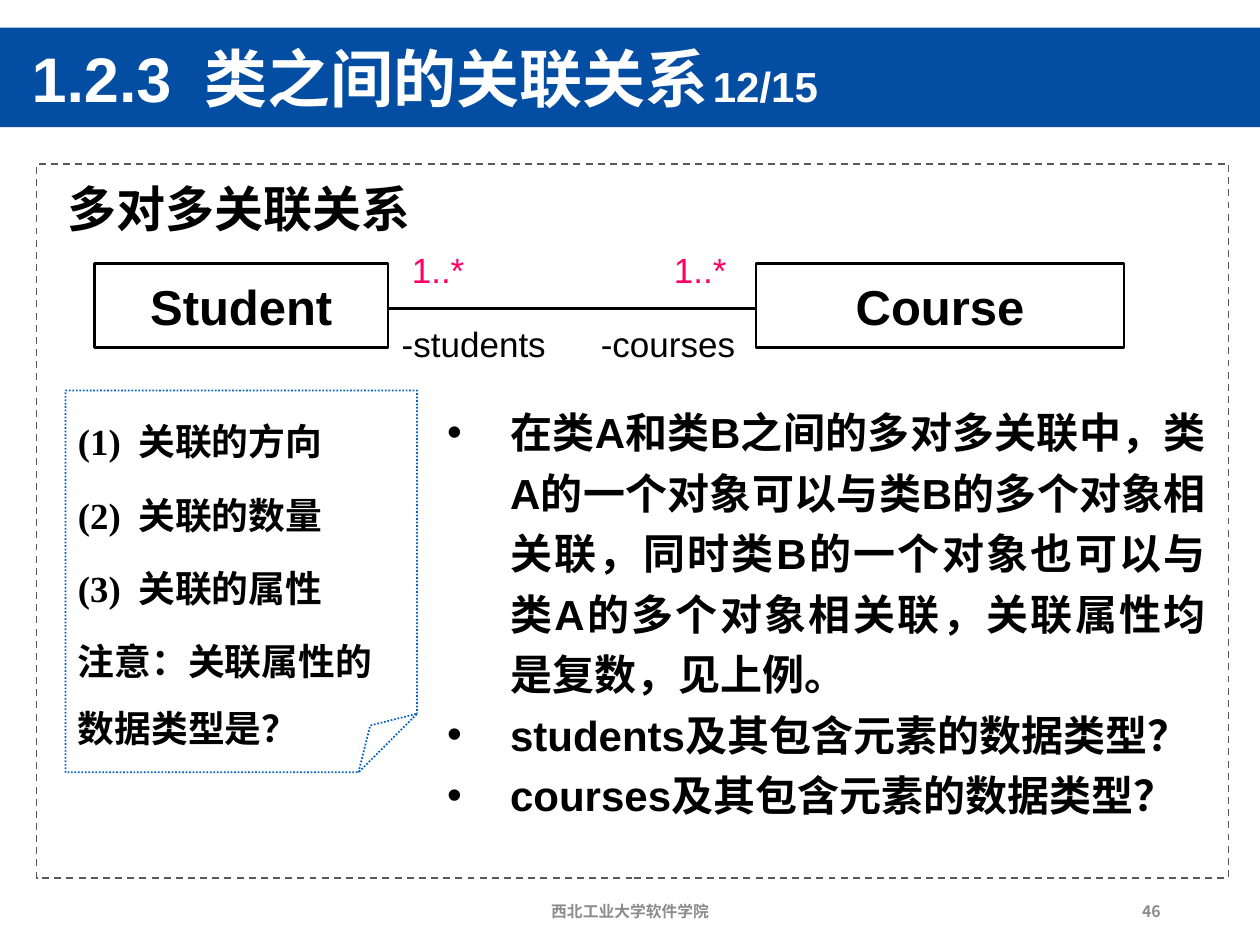
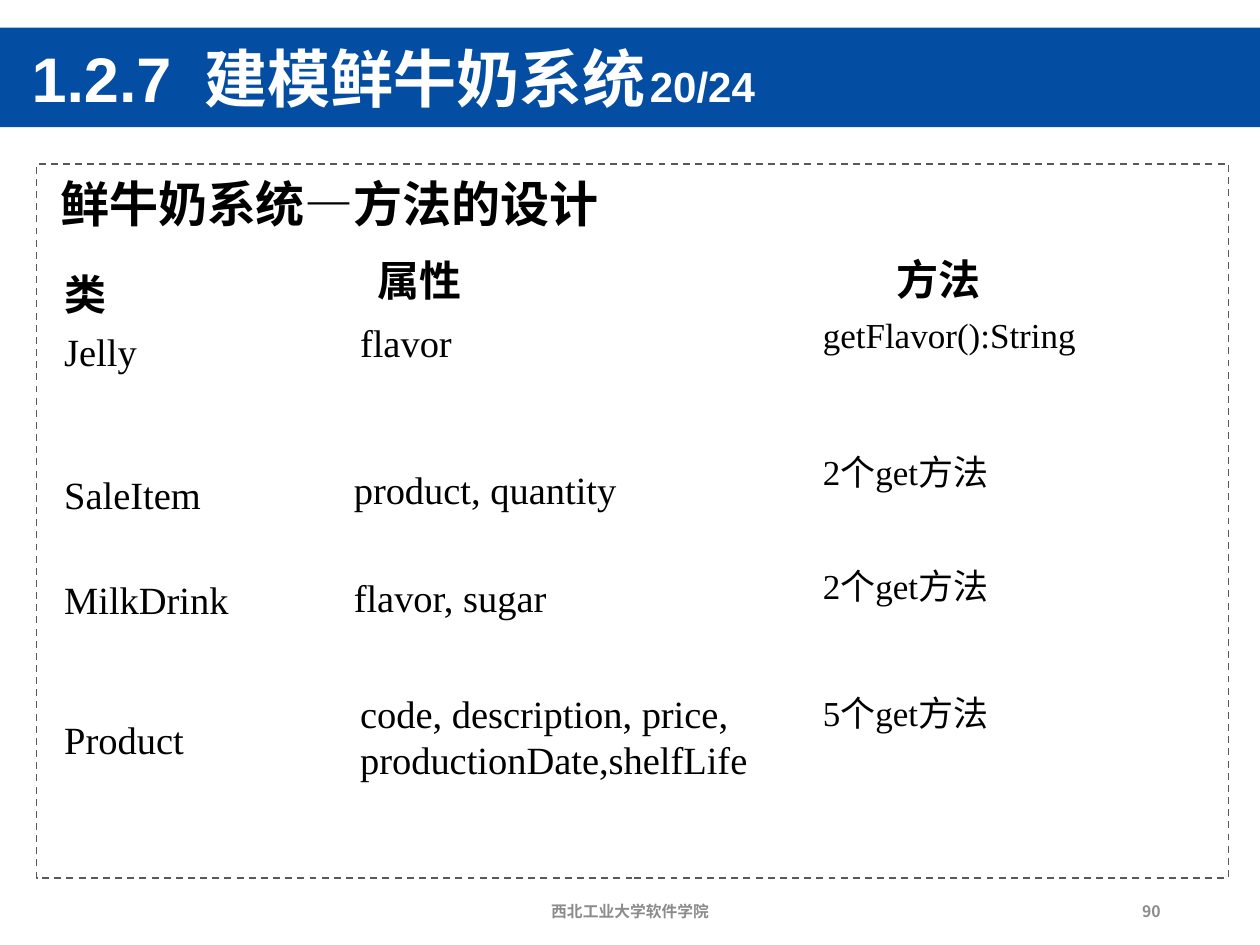
from lxml import etree
from pptx import Presentation
from pptx.dml.color import RGBColor
from pptx.enum.dml import MSO_LINE
from pptx.enum.shapes import MSO_CONNECTOR, MSO_SHAPE
from pptx.enum.text import MSO_ANCHOR, MSO_AUTO_SIZE, PP_ALIGN
from pptx.oxml.ns import qn
from pptx.util import Pt

PX = 9144
BLACK = RGBColor(0x00, 0x00, 0x00)
WHITE = RGBColor(0xFF, 0xFF, 0xFF)
BAND_BLUE = RGBColor(0x03, 0x4E, 0xA2)
NOTE_BLUE = RGBColor(0x05, 0x63, 0xC1)
FRAME_GRAY = RGBColor(0x59, 0x59, 0x59)
FOOTER_GRAY = RGBColor(0x8C, 0x8C, 0x8C)
PINK = RGBColor(0xFF, 0x00, 0x66)

ARIAL, TIMES, NOTO = "Arial", "Times New Roman", "Noto Sans CJK SC"
RECT, PROCESS, FOLDED = MSO_SHAPE.RECTANGLE, MSO_SHAPE.FLOWCHART_PROCESS, MSO_SHAPE.FOLDED_CORNER
DASH, DOT = MSO_LINE.DASH, MSO_LINE.ROUND_DOT
LEFT, CENTER, RIGHT, JUSTIFY = PP_ALIGN.LEFT, PP_ALIGN.CENTER, PP_ALIGN.RIGHT, PP_ALIGN.JUSTIFY
TOP, MIDDLE, BOTTOM = MSO_ANCHOR.TOP, MSO_ANCHOR.MIDDLE, MSO_ANCHOR.BOTTOM
FIXED = MSO_AUTO_SIZE.NONE
STRAIGHT = MSO_CONNECTOR.STRAIGHT

FRAME_BOX = (29, 130, 946, 567)
SCHOOL = "西北工业大学软件学院"


def emu(*lengths):
    """Turn px lengths into EMU."""
    return [length * PX for length in lengths]


def set_all(target, values):
    """Set every attribute named in a dict of format values."""
    for name, value in values.items():
        setattr(target, name, value)


def add_run(paragraph, text, size, font=ARIAL, color=BLACK, bold=False):
    """Append one formatted run, with the shared East Asian font."""
    run = paragraph.add_run()
    run.text = text
    set_all(run.font, {"name": font, "size": Pt(size), "bold": bold})
    run.font.color.rgb = color
    etree.SubElement(run.font._element, qn("a:ea"), typeface=NOTO)


def add_tab(paragraph, position):
    """Give a paragraph one left tab stop."""
    stops = etree.SubElement(paragraph._p.get_or_add_pPr(), qn("a:tabLst"))
    etree.SubElement(stops, qn("a:tab"), pos=str(position * PX), algn="l")


def add_bullet(paragraph, indent):
    """Give a paragraph a round bullet and a hanging indent."""
    properties = paragraph._p.get_or_add_pPr()
    properties.set("marL", str(indent * PX))
    properties.set("indent", str(-indent * PX))
    etree.SubElement(properties, qn("a:buFont"), typeface=ARIAL)
    etree.SubElement(properties, qn("a:buChar"), char="•")


def fill_frame(frame, lines, size, font=ARIAL, color=BLACK, bold=False, align=LEFT,
               anchor=TOP, wrap=True, spacing=None, before=0, tab=None, bullet=None):
    """Write lines as paragraphs of one text frame."""
    set_all(frame, {"word_wrap": wrap, "auto_size": FIXED, "vertical_anchor": anchor})
    for index, line in enumerate(lines):
        paragraph = frame.add_paragraph() if index else frame.paragraphs[0]
        if tab:
            add_tab(paragraph, tab)
        if bullet:
            add_bullet(paragraph, bullet)
        set_all(paragraph, {"alignment": align, "line_spacing": spacing,
                            "space_before": Pt(before if index else 0)})
        add_run(paragraph, line, size, font, color, bold)


def add_text(slide, box, text, size, **style):
    """Add a text box with one paragraph."""
    fill_frame(slide.shapes.add_textbox(*emu(*box)).text_frame, [text], size, **style)


def add_panel(slide, kind, box, fill=None, line=None, width=1, dash=None):
    """Add a flat preset shape."""
    panel = slide.shapes.add_shape(kind, *emu(*box))
    panel.shadow.inherit = False
    if fill is None:
        panel.fill.background()
    else:
        panel.fill.solid()
        panel.fill.fore_color.rgb = fill
    if line is None:
        panel.line.fill.background()
    else:
        panel.line.color.rgb = line
        set_all(panel.line, {"width": Pt(width), "dash_style": dash})
    return panel


def add_column(slide, box, row_heights, lines, sizes, bold_first=False, anchor=MIDDLE):
    """Add an unfilled one-column table."""
    left, top, width = box
    frame = slide.shapes.add_table(
        len(lines), 1, *emu(left, top, width, sum(row_heights)))
    table = frame.table
    set_all(table, {"first_row": False, "horz_banding": False})
    for index, (line, size) in enumerate(zip(lines, sizes)):
        table.rows[index].height = row_heights[index] * PX
        cell = table.cell(index, 0)
        cell.fill.background()
        set_all(cell, {"margin_left": PX, "margin_right": PX, "margin_top": PX,
                       "margin_bottom": 5 * PX, "vertical_anchor": anchor})
        add_run(cell.text_frame.paragraphs[0], line, size, TIMES,
                bold=bold_first and index == 0)


def start_slide(deck, section, progress, number):
    """Add a slide with its title band, dashed frame and footer."""
    slide = deck.slides.add_slide(deck.slide_layouts[5])
    title = slide.shapes.title
    set_all(title, dict(zip(("left", "top", "width", "height"), emu(15, 29, 711, 72))))
    fill_frame(title.text_frame, [section], 36, color=WHITE, bold=True,
               anchor=MIDDLE, spacing=0.9, tab=137)
    for text, size in ((" ", 12), (progress, 24)):
        add_run(title.text_frame.paragraphs[0], text, size, color=WHITE, bold=True)
    band = add_panel(slide, RECT, (0, 22, 1000, 79), fill=BAND_BLUE)
    title.element.addprevious(band.element)
    add_panel(slide, RECT, FRAME_BOX, line=FRAME_GRAY, dash=DASH)
    for left, width, text, align in ((331, 338, SCHOOL, CENTER), (706, 225, number, RIGHT)):
        add_text(slide, (left, 703, width, 40), text, 9, font=NOTO, color=FOOTER_GRAY,
                 bold=True, align=align, anchor=MIDDLE)
    return slide


def draw_association(slide, left, top):
    """Draw the two classes, their association and its end labels."""
    for offset, width, name in ((0, 233, "Student"), (525, 292, "Course")):
        class_box = add_panel(slide, PROCESS, (left + offset, top, width, 67),
                              WHITE, BLACK, 1.5)
        fill_frame(class_box.text_frame, [name], 28, bold=True, align=CENTER,
                   anchor=MIDDLE, wrap=False)
    for x, y, width, label, color in (
            (234, 42, 134, "-students", BLACK), (392, 42, 127, "-courses", BLACK),
            (450, -17, 62, "1..*", PINK), (242, -17, 62, "1..*", PINK)):
        add_text(slide, (left + x, top + y, width, 43), label, 20, color=color, wrap=False)
    link = slide.shapes.add_connector(
        STRAIGHT, *emu(left + 234, top + 36, left + 525, top + 36))
    link.line.color.rgb = BLACK
    link.line.width = Pt(1.5)
    etree.SubElement(link._element.spPr, qn("a:effectLst"))


def draw_note(slide, box):
    """Draw the folded note listing what an association needs."""
    note = add_panel(slide, FOLDED, box, line=NOTE_BLUE, dash=DOT)
    fill_frame(note.text_frame,
               ["(1)\t关联的方向", "(2)\t关联的数量", "(3)\t关联的属性",
                "注意：关联属性的数据类型是？"],
               21, font=TIMES, bold=True, spacing=1.5, before=4.2, tab=48)


def draw_explanation(slide, box):
    """Write the bulleted explanation beside the note."""
    frame = slide.shapes.add_textbox(*emu(*box)).text_frame
    fill_frame(frame,
               ["在类A和类B之间的多对多关联中，类A的一个对象可以与类B的多个对象相关联，"
                "同时类B的一个对象也可以与类A的多个对象相关联，关联属性均是复数，见上例。",
                "students及其包含元素的数据类型？", "courses及其包含元素的数据类型？"],
               24, bold=True, align=JUSTIFY, spacing=1.2, bullet=50)


def build_association_slide(deck):
    """Build the slide on many-to-many associations."""
    slide = start_slide(deck, "1.2.3\t类之间的关联关系", "12/15", "46")
    add_text(slide, (44, 130, 875, 70), "多对多关联关系", 28, font=NOTO, bold=True,
             anchor=MIDDLE)
    draw_association(slide, 75, 209)
    draw_note(slide, (52, 310, 279, 303))
    draw_explanation(slide, (345, 310, 622, 327))


def draw_class_design(slide, left, top):
    """Lay out the columns of classes, attributes and methods."""
    for x, y, heading in ((240, -10, "属性"), (652, -11, "方法")):
        add_text(slide, (left + x, top + y, 97, 50), heading, 24, font=TIMES, bold=True)
    add_column(slide, (left, top, 215), (54, 41, 114, 83, 111),
               ("类", "Jelly", "SaleItem", "MilkDrink", "Product"),
               (24, 22, 22, 22, 22), bold_first=True, anchor=BOTTOM)
    for x, y, width, height, attributes in (
            (226, 41, 290, 47, "flavor"), (221, 158, 237, 47, "product, quantity"),
            (221, 244, 500, 47, "flavor, sugar"),
            (226, 336, 336, 84, "code, description, price, productionDate,shelfLife")):
        add_text(slide, (left + x, top + y, width, height), attributes, 22, font=TIMES)
    for y, methods in ((39, "getFlavor():String"), (145, "2个get方法"),
                       (235, "2个get方法"), (336, "5个get方法")):
        add_column(slide, (left + 602, top + y, 253), (47,), (methods,), (20,))


def build_milk_slide(deck):
    """Build the slide on the method design of the milk system."""
    slide = start_slide(deck, "1.2.7\t建模鲜牛奶系统", "20/24", "90")
    add_text(slide, (38, 126, 875, 70), "鲜牛奶系统—方法的设计", 28, bold=True,
             anchor=MIDDLE)
    draw_class_design(slide, 50, 207)


def main():
    """Build and save the deck."""
    deck = Presentation()
    set_all(deck, {"slide_width": 1000 * PX, "slide_height": 750 * PX})
    build_association_slide(deck)
    build_milk_slide(deck)
    deck.save("out.pptx")


if __name__ == "__main__":
    main()
